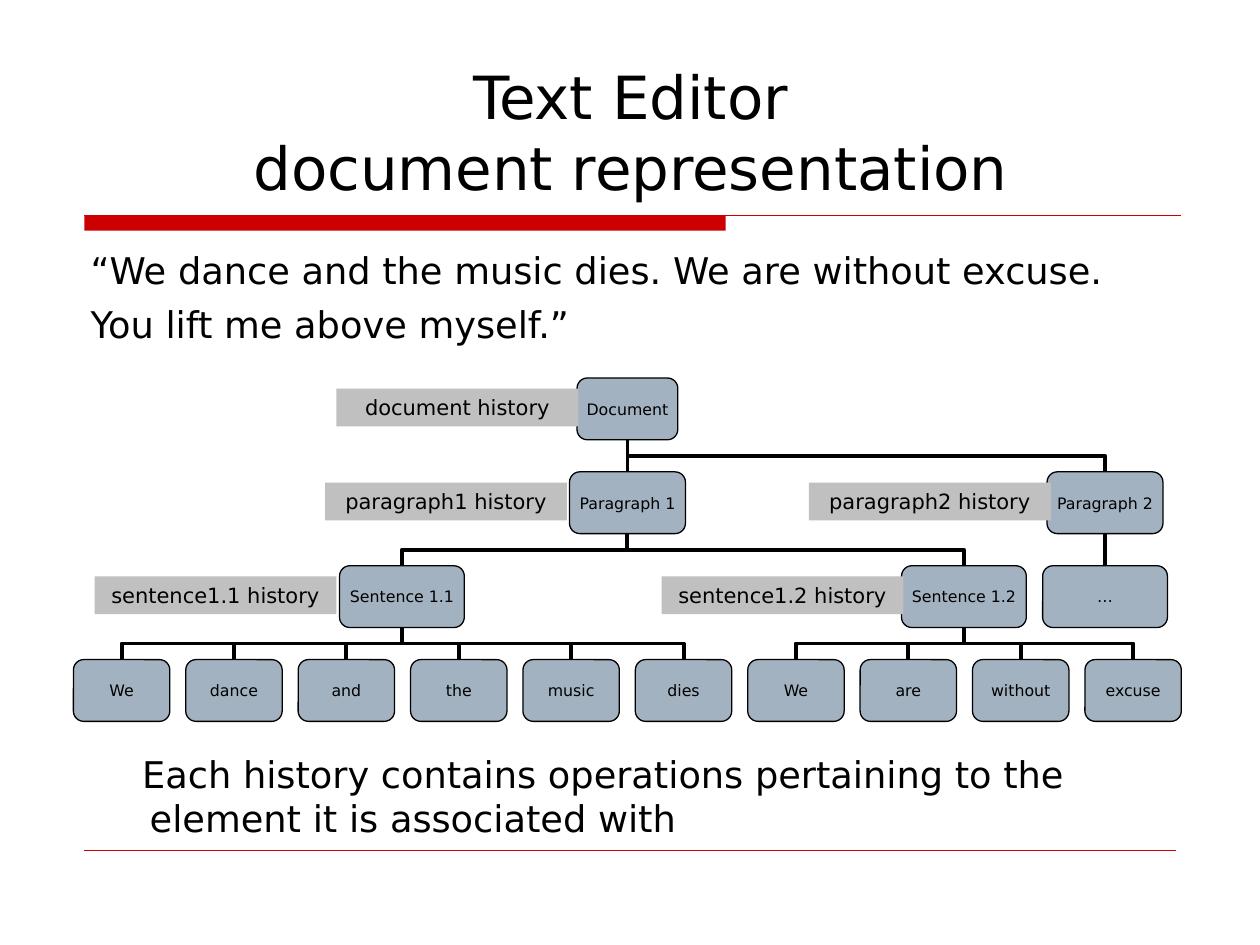
from pptx import Presentation
from pptx.dml.color import RGBColor
from pptx.enum.shapes import MSO_CONNECTOR, MSO_SHAPE
from pptx.enum.text import MSO_ANCHOR, PP_ALIGN
from pptx.oxml.ns import qn
from pptx.util import Inches, Pt
from lxml import etree

FONT = "DejaVu Sans"
BLACK = RGBColor(0x00, 0x00, 0x00)
RED = RGBColor(0xCC, 0x00, 0x00)
NODE_BLUE = RGBColor(0xA3, 0xB2, 0xC1)
HISTORY_GRAY = RGBColor(0xC0, 0xC0, 0xC0)

TITLE = "Text Editor\vdocument representation"
QUOTE = ["“We dance and the music dies. We are without excuse.",
         "You lift me above myself.”"]
CONCLUSION = ["Each history contains operations pertaining to the element it is associated with"]

# Upper tree nodes: label, level, centre x, width, parent label
UPPER_NODES = [
    ("Document", 0, 4.98, 0.8, None),
    ("Paragraph 1", 1, 4.98, 0.92, "Document"),
    ("Paragraph 2", 1, 8.77, 0.92, "Document"),
    ("Sentence 1.1", 2, 3.19, 0.99, "Paragraph 1"),
    ("Sentence 1.2", 2, 7.65, 0.99, "Paragraph 1"),
    ("…", 2, 8.77, 0.99, "Paragraph 2"),
]
# Words of each sentence, evenly spaced along the bottom level
WORDS = [("Sentence 1.1", ["We", "dance", "and", "the", "music", "dies"]),
         ("Sentence 1.2", ["We", "are", "without", "excuse"])]
# History labels: text, level, left
HISTORIES = [
    ("document history", 0, 2.67),
    ("paragraph1 history", 1, 2.58),
    ("paragraph2 history", 1, 6.42),
    ("sentence1.1 history", 2, 0.75),
    ("sentence1.2 history", 2, 5.25),
]

TREE_TOP, LEVEL_STEP, NODE_HEIGHT = 3.0, 0.745, 0.49
FIRST_WORD_X, WORD_STEP, WORD_WIDTH = 0.965, 0.892, 0.765

presentation = Presentation()
presentation.slide_width, presentation.slide_height = Inches(10), Inches(7.5)
slide = presentation.slides.add_slide(presentation.slide_layouts[6])
shapes = slide.shapes


def write(frame, paragraphs, size, align=PP_ALIGN.LEFT, before=0, margin=0, indent=0):
    frame.text = "\n".join(paragraphs) if len(paragraphs) > 1 else ""
    for paragraph, text in zip(frame.paragraphs, paragraphs):
        paragraph.text = text
        paragraph.alignment = align
        paragraph.space_before = Pt(before)
        if margin:
            properties = paragraph._p.get_or_add_pPr()
            properties.set("marL", str(Inches(margin)))
            properties.set("indent", str(Inches(indent)))
        for run in paragraph.runs:
            run.font.name, run.font.size, run.font.color.rgb = FONT, Pt(size), BLACK


def add_text(left, top, width, height, paragraphs, size, anchor=MSO_ANCHOR.TOP, **style):
    frame = shapes.add_textbox(*map(Inches, (left, top, width, height))).text_frame
    frame.word_wrap = True
    frame.vertical_anchor = anchor
    write(frame, paragraphs, size, **style)


def add_box(preset, left, top, width, height, fill):
    box = shapes.add_shape(preset, *map(Inches, (left, top, width, height)))
    box.shadow.inherit = False
    box.fill.solid()
    box.fill.fore_color.rgb = fill
    box.line.fill.background()
    return box


def add_line(kind, start, end, color, weight):
    line = shapes.add_connector(kind, *map(Inches, start + end))
    line.line.color.rgb, line.line.width = color, Pt(weight)
    etree.SubElement(line._element.spPr, qn("a:effectLst"))
    return line


def add_node(label, level, center, width):
    node = add_box(MSO_SHAPE.ROUNDED_RECTANGLE, center - width / 2,
                   TREE_TOP + level * LEVEL_STEP, width, NODE_HEIGHT, NODE_BLUE)
    node.line.color.rgb, node.line.width = BLACK, Pt(0.75)
    frame = node.text_frame
    frame.word_wrap = False
    frame.vertical_anchor = MSO_ANCHOR.MIDDLE
    frame.margin_left = frame.margin_right = Inches(0.05)
    frame.margin_top = frame.margin_bottom = Inches(0.02)
    write(frame, [label], 9, PP_ALIGN.CENTER)
    return node


def link(parent, child):
    """Join parent bottom to child top, with a vertical elbow if they are not aligned."""
    x1, y1 = parent.left + parent.width // 2, parent.top + parent.height
    x2, y2 = child.left + child.width // 2, child.top
    across, down = x2 - x1, y2 - y1
    aligned = abs(across) < Inches(0.01)
    kind = MSO_CONNECTOR.STRAIGHT if aligned else MSO_CONNECTOR.ELBOW
    branch = add_line(kind, (0, 0), (1, 1), BLACK, 2.25)
    branch.begin_connect(parent, 2)
    branch.end_connect(child, 0)
    if not aligned:
        # Turn the elbow so that it leaves downwards
        branch.left, branch.top = (x1 + x2 - down) // 2, (y1 + y2 - abs(across)) // 2
        branch.width, branch.height = down, abs(across)
        turn = branch._element.spPr.find(qn("a:xfrm"))
        turn.set("rot", "5400000" if across < 0 else "16200000")
        turn.set("flipH", "0" if across < 0 else "1")
        turn.set("flipV", "0")
    nodes["Document"]._element.addprevious(branch._element)


# Red rules
add_box(MSO_SHAPE.RECTANGLE, 0.67, 1.71, 5.09, 0.12, RED)
add_line(MSO_CONNECTOR.STRAIGHT, (0.67, 1.71), (9.37, 1.71), RED, 0.75)
add_line(MSO_CONNECTOR.STRAIGHT, (0.67, 6.75), (9.33, 6.75), RED, 0.25)

# Title and quotation
add_text(0.63, 0.33, 8.75, 1.33, [TITLE], 34, MSO_ANCHOR.BOTTOM, align=PP_ALIGN.CENTER)
add_text(0.62, 1.92, 8.75, 2.25, QUOTE, 21, before=5.2, margin=0.51, indent=-0.51)

# Document tree
nodes, links = {}, []
for label, level, center, width, parent in UPPER_NODES:
    nodes[label] = add_node(label, level, center, width)
    if parent:
        links.append((nodes[parent], nodes[label]))
sentence_words = [(sentence, word) for sentence, words in WORDS for word in words]
for index, (sentence, word) in enumerate(sentence_words):
    word_node = add_node(word, 3, FIRST_WORD_X + index * WORD_STEP, WORD_WIDTH)
    links.append((nodes[sentence], word_node))
for parent, child in links:
    link(parent, child)

# History labels
for label, level, left in HISTORIES:
    history = add_box(MSO_SHAPE.RECTANGLE, left, TREE_TOP + 0.085 + level * LEVEL_STEP,
                      1.92, 0.3, HISTORY_GRAY)
    history.text_frame.vertical_anchor = MSO_ANCHOR.TOP
    write(history.text_frame, [label], 12, PP_ALIGN.CENTER)

# Conclusion
add_text(0.58, 5.92, 8.75, 0.83, CONCLUSION, 21, before=5.2, margin=0.51, indent=-0.06)

presentation.save("out.pptx")
